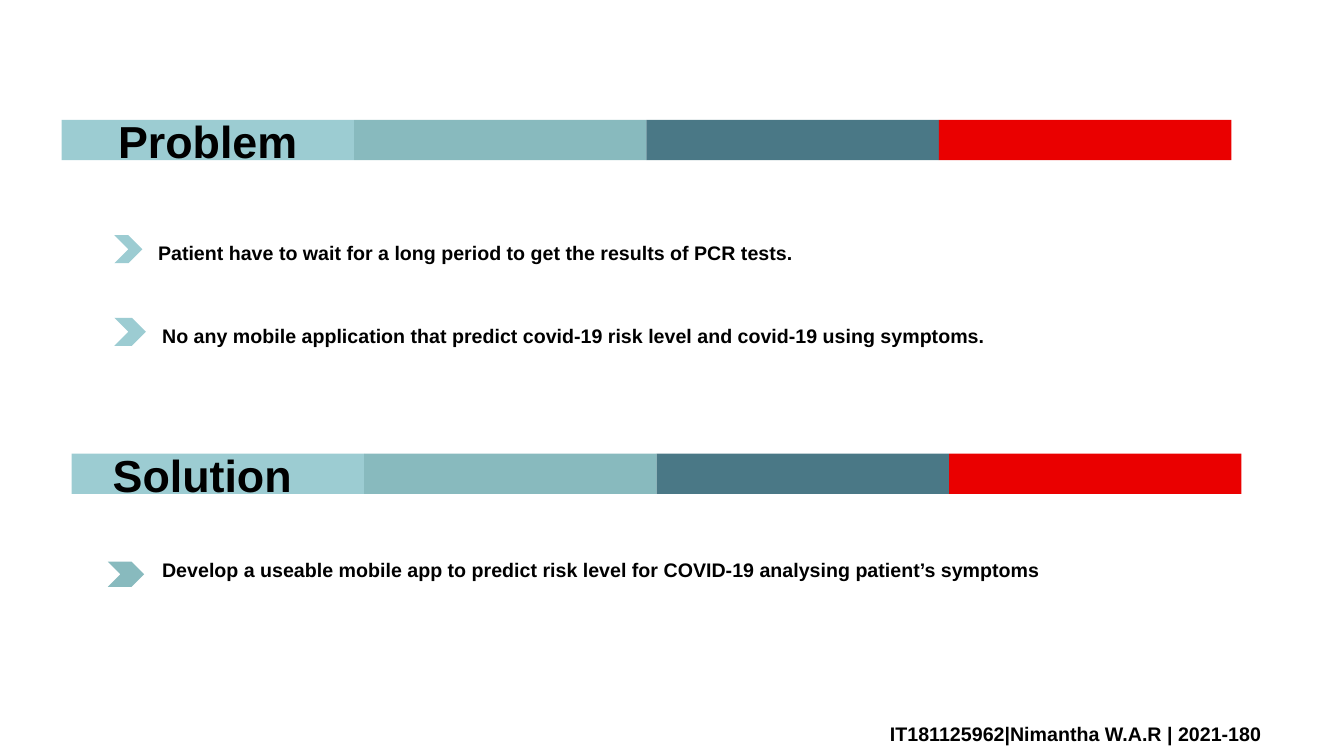
from pptx import Presentation
from pptx.dml.color import RGBColor
from pptx.enum.shapes import MSO_SHAPE as Preset
from pptx.enum.text import MSO_ANCHOR as Anchor, PP_ALIGN as Align
from pptx.util import Pt

BAR_COLOURS = ["9CCCD2", "88BABE", "4A7886", "EA0000"]
SEGMENT_WIDTH, BAR_HEIGHT = 208.9, 28.8
BARS = [(44, 85.7), (51.2, 324)]  # left, top

PROBLEM = ("Problem", (44, 85.7, SEGMENT_WIDTH, BAR_HEIGHT))
SOLUTION = ("Solution", (73.4, 316, 480, 46))
FOOTER = ("IT181125962|Nimantha W.A.R | 2021-180", (628.6, 512, 320, 24.5))

# text, text area, chevron area, chevron colour
POINTS = [
    ("Patient have to wait for a long period to get the results of PCR tests.",
     (105.8, 168.5, 517, 24.5), (81.7, 168, 20, 20), "9CCCD2"),
    ("No any mobile application that predict covid-19 risk level and covid-19 using symptoms.",
     (108.7, 227.5, 633, 24.5), (81.7, 227, 22.5, 20), "9CCCD2"),
    ("Develop a useable mobile app to predict risk level for COVID-19 analysing patient’s symptoms",
     (108.7, 395.3, 714, 24.5), (77, 401.2, 26, 18), "88BABE"),
]

HEADING = {"name": "Arial", "size": Pt(32), "bold": True}
BODY = {**HEADING, "size": Pt(14)}


def colour(value):
    return RGBColor.from_string(value)


def points(area):
    return [Pt(length) for length in area]


def add_block(shapes, preset, area, fill):
    """Add a plain filled shape without outline or shadow."""
    block = shapes.add_shape(preset, *points(area))
    block.shadow.inherit = False
    block.fill.solid()
    block.fill.fore_color.rgb = colour(fill)
    block.line.fill.background()


def write(box, text, style, align=Align.LEFT, anchor=Anchor.TOP):
    frame = box.text_frame
    frame.word_wrap = True
    frame.vertical_anchor = anchor
    para = frame.paragraphs[0]
    para.alignment = align
    span = para.add_run()
    span.text = text
    for name, value in style.items():
        setattr(span.font, name, value)
    span.font.color.rgb = colour("000000")


def add_text(shapes, text, area, style):
    write(shapes.add_textbox(*points(area)), text, style)


def main():
    deck = Presentation()
    deck.slide_width, deck.slide_height = Pt(960), Pt(540)
    page = deck.slides.add_slide(deck.slide_layouts[5])

    for left, top in BARS:
        bar = page.shapes.add_group_shape()
        for index, fill in enumerate(BAR_COLOURS):
            area = (left + index * SEGMENT_WIDTH, top, SEGMENT_WIDTH, BAR_HEIGHT)
            add_block(bar.shapes, Preset.RECTANGLE, area, fill)

    title = page.shapes.title
    text, area = PROBLEM
    title.left, title.top, title.width, title.height = points(area)
    write(title, text, HEADING, Align.CENTER, Anchor.MIDDLE)
    title.element.getparent().append(title.element)  # bring in front of the bar

    add_text(page.shapes, *SOLUTION, HEADING)
    for text, area, chevron_area, fill in POINTS:
        point = page.shapes.add_group_shape()
        add_block(point.shapes, Preset.CHEVRON, chevron_area, fill)
        add_text(point.shapes, text, area, BODY)
    add_text(page.shapes, *FOOTER, BODY)

    deck.save("out.pptx")


if __name__ == "__main__":
    main()
